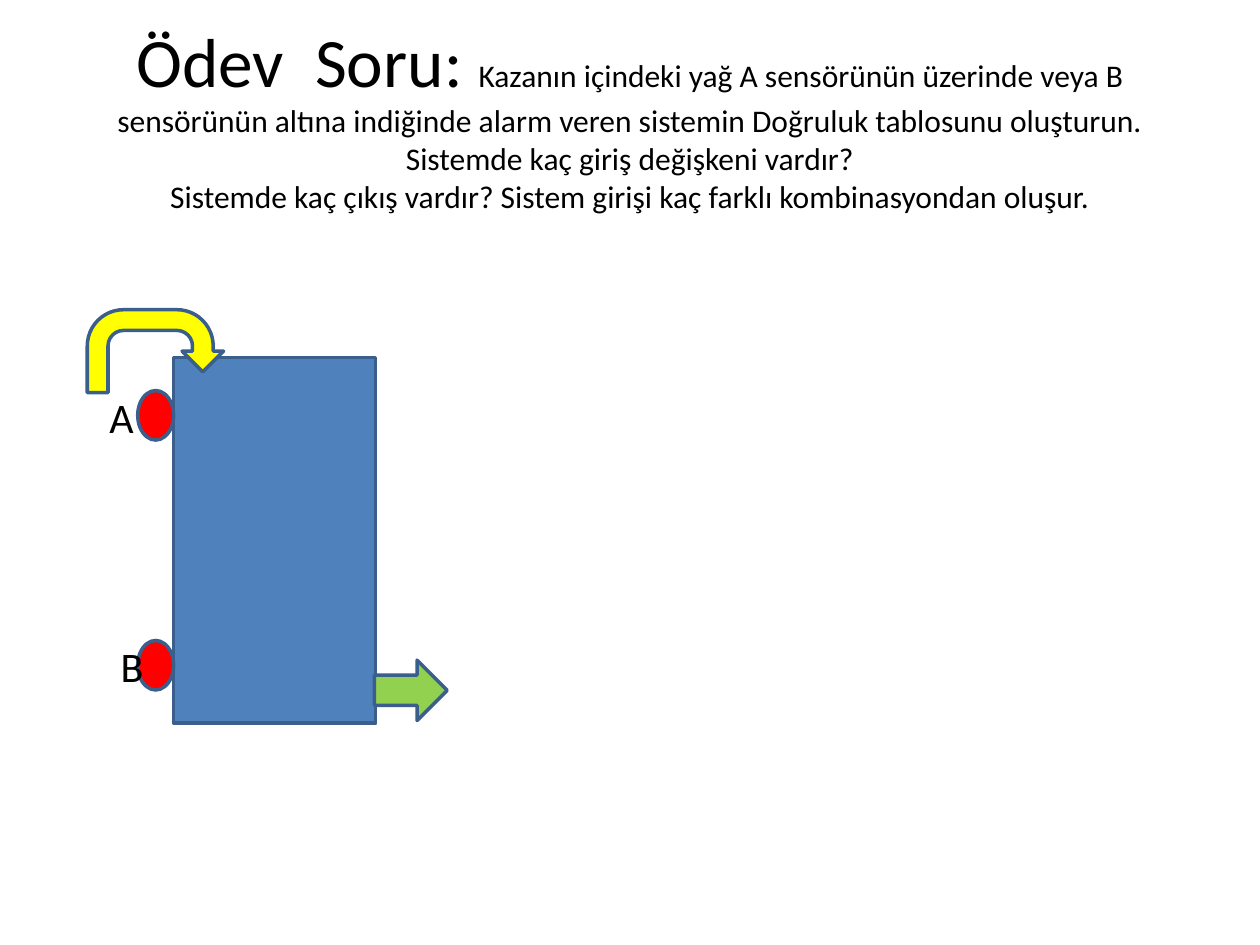
from lxml.etree import SubElement
from pptx import Presentation
from pptx.dml.color import RGBColor
from pptx.enum.shapes import MSO_SHAPE
from pptx.enum.text import MSO_ANCHOR, MSO_AUTO_SIZE, PP_ALIGN
from pptx.oxml.ns import qn
from pptx.util import Pt

# Content
HEAD = "Ödev  Soru: "
TASK = [
    "Kazanın içindeki yağ A sensörünün üzerinde veya B sensörünün altına "
    "indiğinde alarm veren sistemin Doğruluk tablosunu oluşturun. "
    "Sistemde kaç giriş değişkeni vardır?",
    "Sistemde kaç çıkış vardır? Sistem girişi kaç farklı kombinasyondan oluşur.",
]
COLORS = {"tank": "4F81BD", "sensor": "FF0000", "outlet": "92D050",
          "inlet": "FFFF00", "line": "3A5F8C", "text": "000000"}
FONT = "Calibri"

# Geometry in points: left, top, width, height
TANK = (99.2, 204.3, 115.5, 209)
SENSOR_W, SENSOR_H = 20.5, 28.3
SENSOR_TOPS = (223.2, 366)
PARTS = [
    ("tank", MSO_SHAPE.RECTANGLE, TANK),
    *[("sensor", MSO_SHAPE.OVAL, (TANK[0] - SENSOR_W, top, SENSOR_W, SENSOR_H))
      for top in SENSOR_TOPS],
    ("outlet", MSO_SHAPE.RIGHT_ARROW, (TANK[0] + TANK[2] - 0.7, 377.2, 41.6, 34.5)),
    ("inlet", MSO_SHAPE.U_TURN_ARROW, (49.9, 177, 77.9, 47.4)),
]
LABELS = [("B", 61.9, SENSOR_TOPS[1]), ("A", 55.4, SENSOR_TOPS[0])]


def style(run, size):
    run.font.name = FONT
    run.font.size = Pt(size)
    run.font.color.rgb = RGBColor.from_string(COLORS["text"])


def add_part(slide, name, kind, box):
    part = slide.shapes.add_shape(kind, *map(Pt, box))
    part.shadow.inherit = False
    part.fill.solid()
    part.fill.fore_color.rgb = RGBColor.from_string(COLORS[name])
    part.line.color.rgb = RGBColor.from_string(COLORS["line"])
    part.line.width = Pt(2)


def add_label(slide, text, left, top):
    box = slide.shapes.add_textbox(Pt(left), Pt(top - 3.3), Pt(28.8), Pt(36.3))
    frame = box.text_frame
    frame.word_wrap = True
    frame.auto_size = MSO_AUTO_SIZE.SHAPE_TO_FIT_TEXT
    frame.text = text
    style(frame.paragraphs[0].runs[0], 24)


def fill_title(title):
    title.left, title.top, title.width, title.height = map(Pt, (36, 21.6, 648, 90))
    frame = title.text_frame
    frame.word_wrap = True
    frame.auto_size = MSO_AUTO_SIZE.NONE
    frame.vertical_anchor = MSO_ANCHOR.MIDDLE
    para = frame.paragraphs[0]
    para.text = HEAD
    para.alignment = PP_ALIGN.CENTER
    style(para.runs[0], 39.6)
    for i, text in enumerate(TASK):
        if i:
            para.add_line_break()
        run = para.add_run()
        run.text = text
        style(run, 18)
    # Line breaks take the size of the task text
    for gap in para._p.findall(qn("a:br")):
        SubElement(gap, qn("a:rPr")).set("sz", "1800")


def main():
    deck = Presentation()
    deck.slide_width, deck.slide_height = Pt(720), Pt(540)
    slide = deck.slides.add_slide(deck.slide_layouts[5])
    fill_title(slide.shapes.title)
    # Tank with sensors and flow arrows
    for part in PARTS:
        add_part(slide, *part)
    # Sensor names
    for label in LABELS:
        add_label(slide, *label)
    deck.save("out.pptx")


if __name__ == "__main__":
    main()
